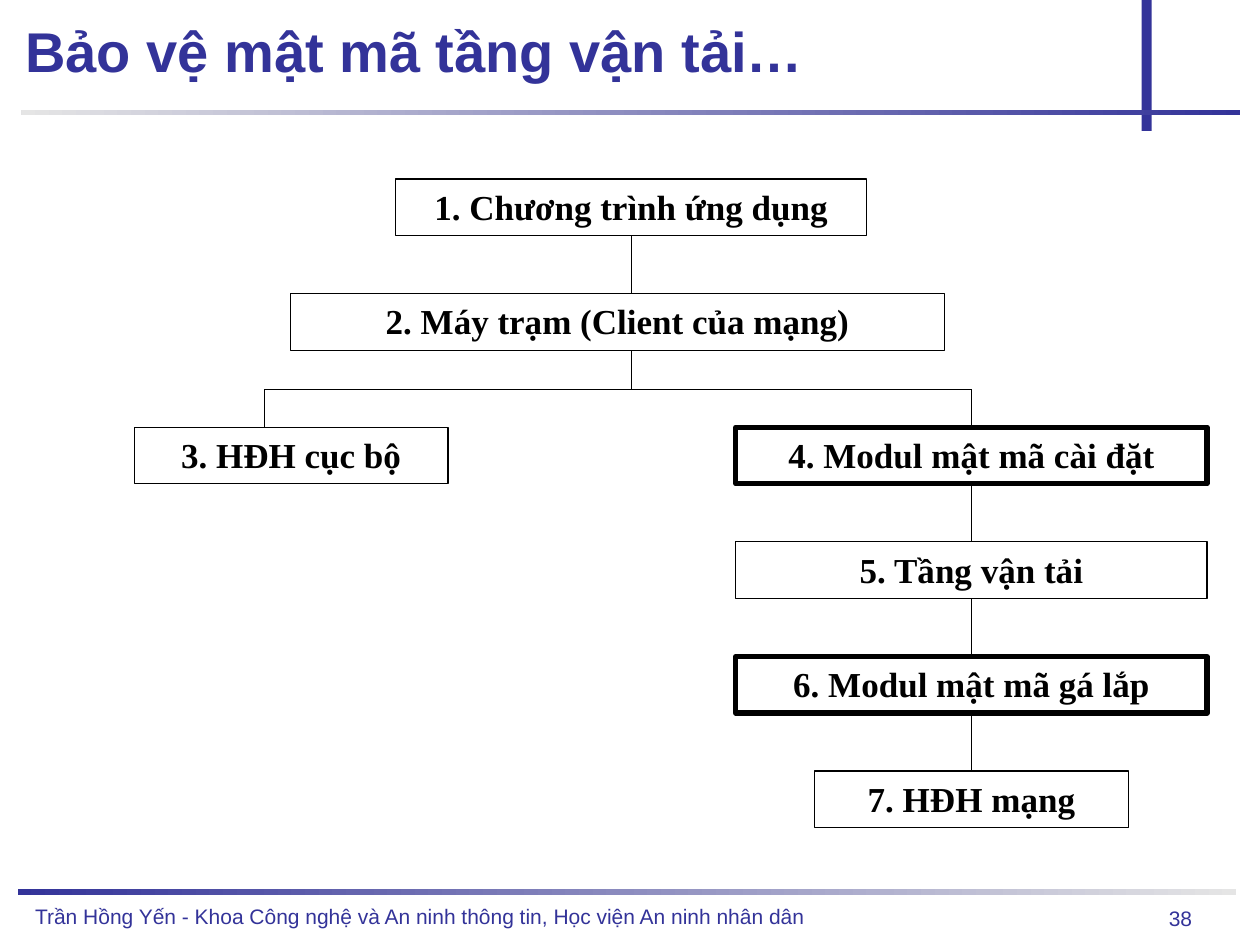
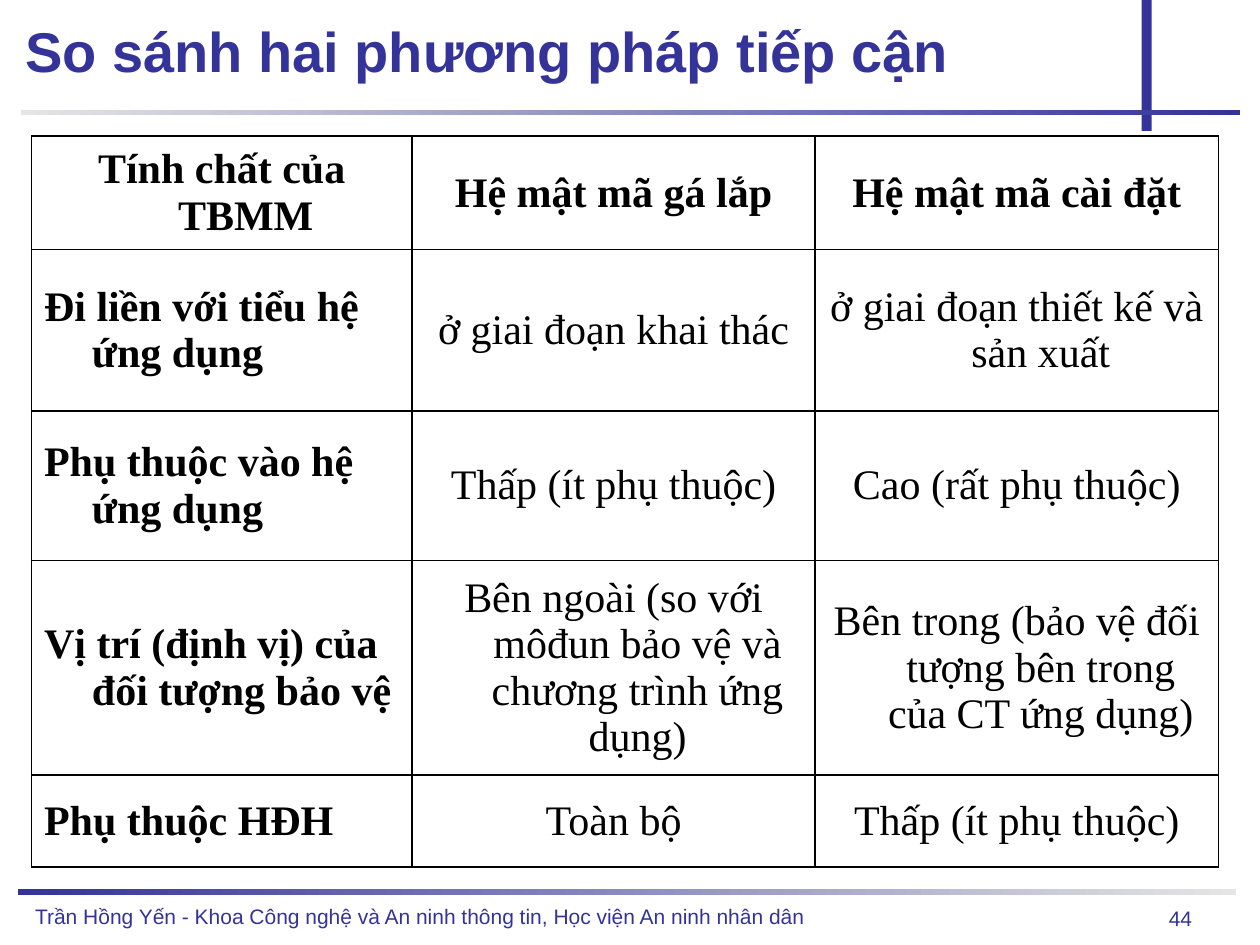
from dataclasses import dataclass

from lxml import etree
from pptx import Presentation
from pptx import util as u
from pptx.dml.color import RGBColor
from pptx.enum import shapes, text
from pptx.oxml import ns

NAVY = "333399"
GREY = "E5E5E5"
WHITE = "FFFFFF"
BLACK = "000000"
SANS = "Arial"
SERIF = "Times New Roman"
LEFT = text.PP_ALIGN.LEFT
CENTER = text.PP_ALIGN.CENTER
RIGHT = text.PP_ALIGN.RIGHT
TOP = text.MSO_ANCHOR.TOP
MIDDLE = text.MSO_ANCHOR.MIDDLE

FOOTER = "Trần Hồng Yến - Khoa Công nghệ và An ninh thông tin, Học viện An ninh nhân dân"

BOX_HEIGHT = 0.45
LEVEL_STEP = 0.91
FIRST_LEVEL = 1.42
BRANCH_LEVEL = 3.39
BUS_Y = 3.09
TRUNK_X = 5.01
LOCAL_X = 2.1
NETWORK_X = 7.71

COLUMN_WIDTHS = (3.02, 3.2, 3.2)
ROW_HEIGHTS = (0.9, 1.28, 1.19, 1.7, 0.73)
HANGING_INDENT = 0.38
COMPARISON = (
    ("Tính chất của TBMM", "Hệ mật mã gá lắp", "Hệ mật mã cài đặt"),
    ("Đi liền với tiểu hệ ứng dụng", "ở giai đoạn khai thác",
     "ở giai đoạn thiết kế và sản xuất"),
    ("Phụ thuộc vào hệ ứng dụng", "Thấp (ít phụ thuộc)", "Cao (rất phụ thuộc)"),
    ("Vị trí (định vị) của đối tượng bảo vệ",
     "Bên ngoài (so với môđun bảo vệ và chương trình ứng dụng)",
     "Bên trong (bảo vệ đối tượng bên trong của CT ứng dụng)"),
    ("Phụ thuộc HĐH", "Toàn bộ", "Thấp (ít phụ thuộc)"),
)


@dataclass
class Bar:
    left: float
    top: float
    width: float
    height: float
    start: str
    end: str


@dataclass
class Node:
    label: str
    center: float
    top: float
    width: float
    border: float = 0.75


BARS = (
    Bar(0.14, 7.06, 9.67, 0.04, NAVY, GREY),
    Bar(9.06, 0, 0.08, 1.04, NAVY, NAVY),
    Bar(0.17, 0.87, 9.67, 0.04, GREY, NAVY),
)

NODES = (
    Node("1. Chương trình ứng dụng", TRUNK_X, FIRST_LEVEL, 3.74),
    Node("2. Máy trạm (Client của mạng)", 4.9, FIRST_LEVEL + LEVEL_STEP, 5.19),
    Node("3. HĐH cục bộ", 2.31, BRANCH_LEVEL, 2.49),
    Node("4. Modul mật mã cài đặt", NETWORK_X, BRANCH_LEVEL, 3.74, 3),
    Node("5. Tầng vận tải", NETWORK_X, BRANCH_LEVEL + LEVEL_STEP, 3.74),
    Node("6. Modul mật mã gá lắp", NETWORK_X, BRANCH_LEVEL + 2 * LEVEL_STEP, 3.74, 3),
    Node("7. HĐH mạng", NETWORK_X, BRANCH_LEVEL + 3 * LEVEL_STEP, 2.49),
)


def color(value: str) -> RGBColor:
    return RGBColor.from_string(value)


def inches(*lengths: float) -> list:
    return [u.Inches(length) for length in lengths]


def write(frame, words: str, *, size: float, font: str = SANS, fill: str = NAVY,
          bold: bool = False, align=LEFT, spacing: float = 1.0, hanging: float = 0):
    para = frame.paragraphs[0]
    para.alignment = align
    para.line_spacing = spacing
    if hanging:
        properties = para._p.get_or_add_pPr()
        properties.set("marL", str(u.Inches(hanging)))
        properties.set("indent", str(-u.Inches(hanging)))
    span = para.add_run()
    span.text = words
    span.font.name = font
    span.font.size = u.Pt(size)
    span.font.bold = bold
    span.font.color.rgb = color(fill)


def add_label(page, words: str, left: float, top: float, width: float, height: float,
              *, anchor=TOP, margins: tuple = (0.1, 0.05), **style):
    frame = page.shapes.add_textbox(*inches(left, top, width, height)).text_frame
    frame.word_wrap = True
    frame.vertical_anchor = anchor
    frame.margin_left = frame.margin_right = u.Inches(margins[0])
    frame.margin_top = frame.margin_bottom = u.Inches(margins[1])
    write(frame, words, **style)


def add_rectangle(page, left: float, top: float, width: float, height: float):
    box = page.shapes.add_shape(shapes.MSO_SHAPE.RECTANGLE,
                                *inches(left, top, width, height))
    box.shadow.inherit = False
    return box


def add_bar(page, bar: Bar):
    box = add_rectangle(page, bar.left, bar.top, bar.width, bar.height)
    box.line.fill.background()
    if bar.start == bar.end:
        box.fill.solid()
        box.fill.fore_color.rgb = color(bar.start)
        return
    box.fill.gradient()
    box.fill.gradient_angle = 180
    for stop, shade in zip(box.fill.gradient_stops, (bar.end, bar.start)):
        stop.color.rgb = color(shade)


def add_page(deck, title: str, number: int):
    page = deck.slides.add_slide(deck.slide_layouts[6])
    add_label(page, str(number), 4.61, 7.15, 4.95, 0.29,
              size=12, align=RIGHT, spacing=0.94)
    for bar in BARS:
        add_bar(page, bar)
    add_label(page, FOOTER, 0.18, 7.14, 7.32, 0.29, size=12, spacing=0.94)
    add_label(page, title, 0.2, 0.13, 8.8, 0.63, anchor=MIDDLE, margins=(0, 0),
              size=32, bold=True, spacing=0.82)
    return page


def add_node(page, node: Node):
    box = add_rectangle(page, node.center - node.width / 2, node.top,
                        node.width, BOX_HEIGHT)
    box.fill.solid()
    box.fill.fore_color.rgb = color(WHITE)
    box.line.color.rgb = color(BLACK)
    box.line.width = u.Pt(node.border)
    box.text_frame.word_wrap = True
    box.text_frame.vertical_anchor = TOP
    write(box.text_frame, node.label, size=20, font=SERIF, fill=BLACK,
          bold=True, align=CENTER)
    return box


def add_link(page, start: tuple, end: tuple, upper=None, lower=None):
    link = page.shapes.add_connector(shapes.MSO_CONNECTOR.STRAIGHT,
                                     *inches(*start, *end))
    link.line.color.rgb = color(BLACK)
    link.line.width = u.Pt(0.75)
    etree.SubElement(link._element.spPr, ns.qn("a:effectLst"))
    if upper is not None:
        link.begin_connect(upper, 2)
    if lower is not None:
        link.end_connect(lower, 0)


def add_cell_borders(cell):
    properties = cell._tc.get_or_add_tcPr()
    for side in ("L", "R", "T", "B"):
        line = etree.SubElement(properties, ns.qn(f"a:ln{side}"), w=str(u.Pt(1)))
        fill = etree.SubElement(line, ns.qn("a:solidFill"))
        etree.SubElement(fill, ns.qn("a:srgbClr"), val=BLACK)


def build_layers(deck):
    page = add_page(deck, "Bảo vệ mật mã tầng vận tải…", 38)
    boxes = [add_node(page, node) for node in NODES]
    client_top = NODES[1].top
    add_link(page, (TRUNK_X, FIRST_LEVEL + BOX_HEIGHT), (TRUNK_X, client_top),
             upper=boxes[0])
    add_link(page, (TRUNK_X, client_top + BOX_HEIGHT), (TRUNK_X, BUS_Y))
    add_link(page, (LOCAL_X, BUS_Y), (NETWORK_X, BUS_Y))
    add_link(page, (LOCAL_X, BUS_Y), (LOCAL_X, BRANCH_LEVEL))
    add_link(page, (NETWORK_X, BUS_Y), (NETWORK_X, BRANCH_LEVEL), lower=boxes[3])
    for index in range(3, 6):
        add_link(page, (NETWORK_X, NODES[index].top + BOX_HEIGHT),
                 (NETWORK_X, NODES[index + 1].top),
                 upper=boxes[index], lower=boxes[index + 1])


def build_comparison(deck):
    page = add_page(deck, "So sánh hai phương pháp tiếp cận", 44)
    table = page.shapes.add_table(
        len(ROW_HEIGHTS), len(COLUMN_WIDTHS),
        *inches(0.25, 1.08, sum(COLUMN_WIDTHS), sum(ROW_HEIGHTS))).table
    table.first_row = table.horz_banding = False
    for column, width in zip(table.columns, COLUMN_WIDTHS):
        column.width = u.Inches(width)
    for row, height in zip(table.rows, ROW_HEIGHTS):
        row.height = u.Inches(height)
    for row_index, entries in enumerate(COMPARISON):
        for column_index, words in enumerate(entries):
            cell = table.cell(row_index, column_index)
            add_cell_borders(cell)
            cell.fill.background()
            cell.vertical_anchor = MIDDLE
            is_header = row_index == 0
            is_property = column_index == 0
            write(cell.text_frame, words, size=24, font=SERIF, fill=BLACK,
                  bold=is_header or is_property, hanging=HANGING_INDENT,
                  align=LEFT if is_property and not is_header else CENTER)


def main():
    deck = Presentation()
    deck.slide_width, deck.slide_height = inches(10, 7.5)
    build_layers(deck)
    build_comparison(deck)
    deck.save("out.pptx")


if __name__ == "__main__":
    main()
